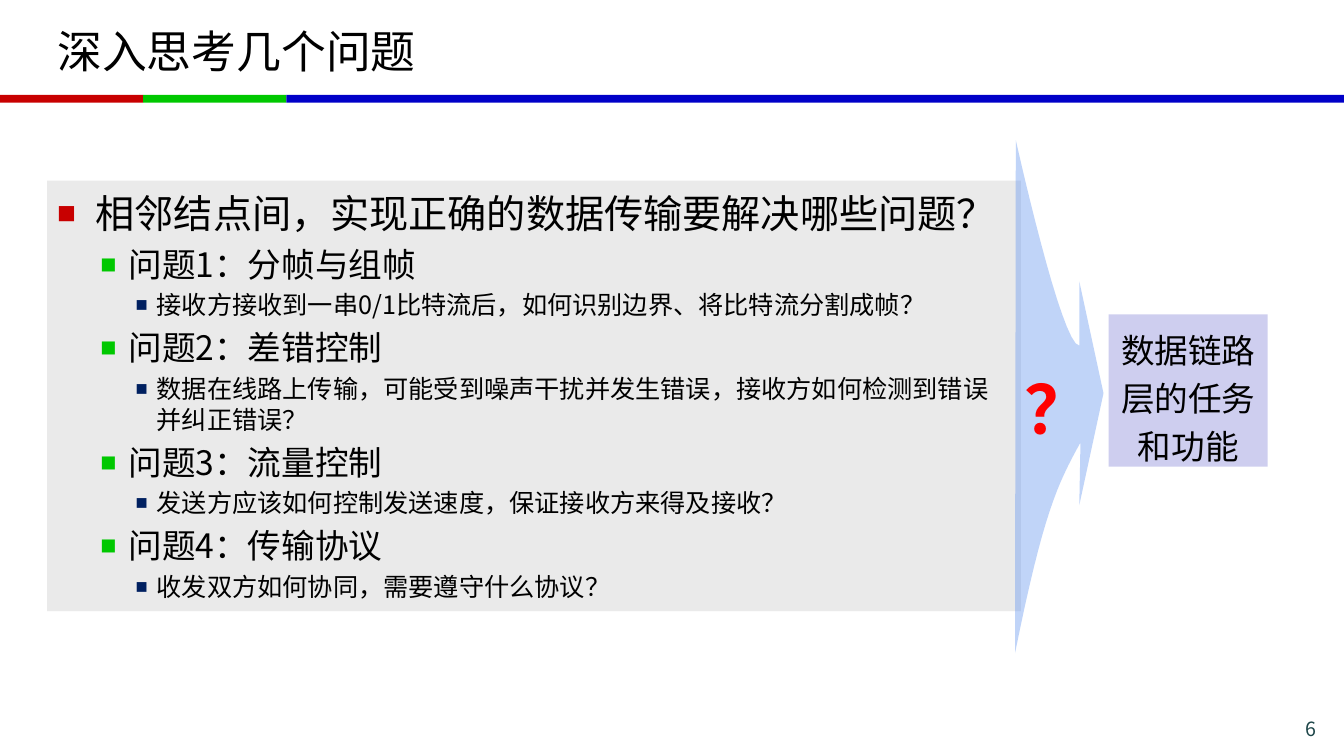
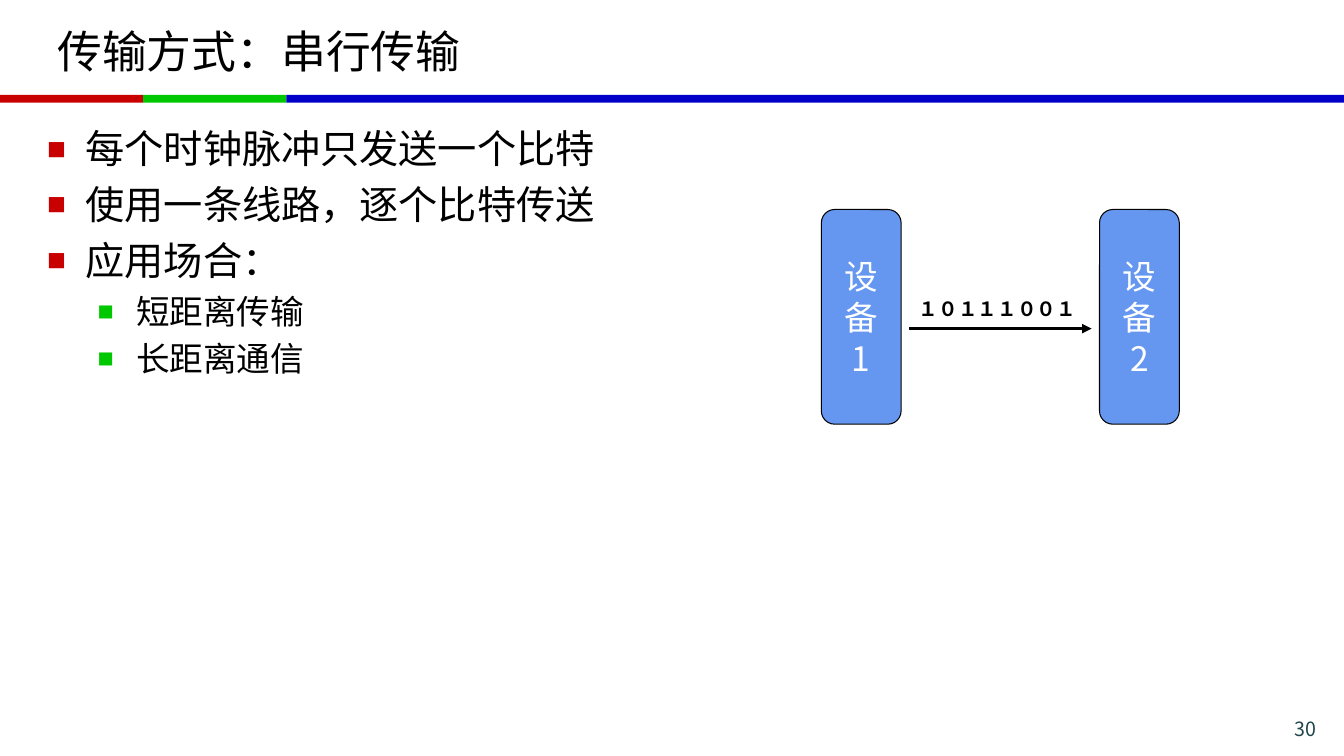
from collections import namedtuple

from lxml.etree import SubElement
from pptx import Presentation
from pptx.dml.color import RGBColor
from pptx.enum.shapes import MSO_CONNECTOR as Connector, MSO_SHAPE as Preset
from pptx.enum.text import MSO_ANCHOR as Anchor, PP_ALIGN as Align
from pptx.oxml.ns import qn
from pptx.util import Cm, Pt

COLORS = {
    "text": "000000", "white": "FFFFFF", "red": "C80000", "green": "00C800",
    "blue": "0000C8", "navy": "002060", "number": "1E4649", "panel": "E6E6E6",
    "device": "6697F0", "callout": "CECEEF", "question": "FF0000",
}
FONT, LATIN_FONT = "Noto Sans CJK SC", "Arial"
LINE_HEIGHT, LOOSE_LINE_HEIGHT = 1.22, 1.43
SLIDE_WIDTH, SLIDE_HEIGHT = 33.87, 19.05
BAND_TOP, BAND_HEIGHT, SHORT_BAND = 2.39, 0.2, 3.61

Level = namedtuple("Level", "size color margin hanging")
TOPIC = Level(28, "red", 0.97, 0.97)
PROBLEM = Level(24, "green", 1.8, 0.71)
DETAIL = Level(18, "navy", 2.51, 0.53)
USE_CASE = Level(24, "green", 2.24, 0.97)

QUESTIONS = [
    (TOPIC, "相邻结点间，实现正确的数据传输要解决哪些问题？"),
    (PROBLEM, "问题1：分帧与组帧"),
    (DETAIL, "接收方接收到一串0/1比特流后，如何识别边界、将比特流分割成帧？"),
    (PROBLEM, "问题2：差错控制"),
    (DETAIL, "数据在线路上传输，可能受到噪声干扰并发生错误，接收方如何检测到错误并纠正错误？"),
    (PROBLEM, "问题3：流量控制"),
    (DETAIL, "发送方应该如何控制发送速度，保证接收方来得及接收？"),
    (PROBLEM, "问题4：传输协议"),
    (DETAIL, "收发双方如何协同，需要遵守什么协议？"),
]
SERIAL_POINTS = [
    (TOPIC, "每个时钟脉冲只发送一个比特"),
    (TOPIC, "使用一条线路，逐个比特传送"),
    (TOPIC, "应用场合："),
    (USE_CASE, "短距离传输"),
    (USE_CASE, "长距离通信"),
]


def rgb(color):
    """Return the palette entry as a colour value."""
    return RGBColor.from_string(COLORS[color])


def place(*lengths):
    """Convert centimetres to lengths."""
    return [Cm(length) for length in lengths]


def style(paragraph, size, color="text", bold=False, align=Align.LEFT,
          font=FONT, line_height=LINE_HEIGHT):
    """Format a paragraph and its runs."""
    paragraph.alignment = align
    paragraph.line_spacing = Pt(round(size * line_height, 1))
    for run in paragraph.runs:
        run.font.size, run.font.bold, run.font.name = Pt(size), bold, font
        run.font.color.rgb = rgb(color)
        SubElement(run.font._element, qn("a:ea"), typeface=FONT)


def write(frame, text, size, wrap=True, anchor=Anchor.TOP, **look):
    """Fill a text frame with evenly styled paragraphs."""
    frame.text = text
    frame.word_wrap, frame.vertical_anchor = wrap, anchor
    for paragraph in frame.paragraphs:
        style(paragraph, size, **look)


def add_text(slide, box, text, size, **look):
    """Add a text box and return its frame."""
    frame = slide.shapes.add_textbox(*place(*box)).text_frame
    write(frame, text, size, **look)
    return frame


def paint(shape, color, opacity=None, outline=None):
    """Set fill, opacity and outline of a shape."""
    shape.shadow.inherit = False
    shape.fill.solid()
    shape.fill.fore_color.rgb = rgb(color)
    if opacity:
        fill = shape.element.spPr.find(".//" + qn("a:srgbClr"))
        SubElement(fill, qn("a:alpha"), val=str(opacity * 1000))
    if outline:
        shape.line.color.rgb = rgb("text")
        shape.line.width = Pt(outline)
    else:
        shape.line.fill.background()


def add_block(slide, box, color, preset=Preset.RECTANGLE, **look):
    """Add a painted preset shape."""
    block = slide.shapes.add_shape(preset, *place(*box))
    paint(block, color, **look)
    return block


def add_bullet(paragraph, level):
    """Give a paragraph a square bullet and a hanging indent."""
    properties = paragraph._p.get_or_add_pPr()
    properties.set("marL", str(Cm(level.margin)))
    properties.set("indent", str(-Cm(level.hanging)))
    color = SubElement(properties, qn("a:buClr"))
    SubElement(color, qn("a:srgbClr"), val=COLORS[level.color])
    SubElement(properties, qn("a:buSzPct"), val="80000")
    SubElement(properties, qn("a:buFont"), typeface=LATIN_FONT)
    SubElement(properties, qn("a:buChar"), char="■")


def write_outline(frame, items):
    """Write bulleted items of several levels."""
    frame.text = "\n".join(text for _, text in items)
    frame.word_wrap, frame.vertical_anchor = True, Anchor.TOP
    frame.margin_top = Cm(0.2)
    for index, (paragraph, (level, _)) in enumerate(zip(frame.paragraphs, items)):
        add_bullet(paragraph, level)
        paragraph.space_before = Pt(round(level.size * 0.2, 1) if index else 0)
        style(paragraph, level.size)


def bezier(start, first, second, end, steps=16):
    """Return points along a cubic curve, without its start."""
    def at(t):
        weights = ((1 - t) ** 3, 3 * t * (1 - t) ** 2, 3 * t * t * (1 - t), t ** 3)
        corners = (start, first, second, end)
        return tuple(sum(w * c[axis] for w, c in zip(weights, corners))
                     for axis in (0, 1))
    return [at(step / steps) for step in range(1, steps + 1)]


def add_flared_arrow(slide):
    """Draw the translucent arrow that narrows toward the callout."""
    bottom, lower_neck = (25.58, 16.46), (27.23, 11.15)
    top, upper_neck = (25.6, 3.53), (27.2, 8.71)
    outline = bezier(bottom, (26.29, 12.95), (26.64, 12.22), lower_neck)
    outline += [(27.2, 12.73), (27.81, 9.91), (27.2, 7.09), upper_neck]
    outline += bezier(upper_neck, (26.75, 8.71), top, top)
    builder = slide.shapes.build_freeform(*place(*bottom))
    builder.add_line_segments([place(*point) for point in outline], close=True)
    paint(builder.convert_to_shape(), "device", opacity=41)


def add_arrow(slide, left, right, y):
    """Draw a horizontal arrow."""
    arrow = slide.shapes.add_connector(Connector.STRAIGHT, *place(left, y, right, y))
    arrow.line.color.rgb = rgb("text")
    arrow.line.width = Pt(2.25)
    SubElement(arrow.line._get_or_add_ln(), qn("a:tailEnd"), type="triangle")
    SubElement(arrow._element.spPr, qn("a:effectLst"))


def add_device(slide, left, number):
    """Draw a device with its name stacked vertically."""
    device = add_block(slide, (left, 5.28, 2.01, 5.41), "device",
                       Preset.ROUNDED_RECTANGLE, outline=0.75)
    device.adjustments[0] = 0.167
    write(device.text_frame, f"设\n备\n{number}", 24, wrap=False,
          anchor=Anchor.MIDDLE, color="white", align=Align.CENTER)


def add_page(deck, title, number):
    """Add a slide with title, colour bands and page number."""
    slide = deck.slides.add_slide(deck.slide_layouts[5])
    heading = slide.shapes.title
    heading.left, heading.top, heading.width, heading.height = place(
        1.19, 0.2, 31.47, 2.13)
    write(heading.text_frame, title, 32, anchor=Anchor.MIDDLE)
    edges = [0, SHORT_BAND, 2 * SHORT_BAND, SLIDE_WIDTH]
    for color, left, right in zip(("red", "green", "blue"), edges, edges[1:]):
        add_block(slide, (left, BAND_TOP, right - left, BAND_HEIGHT), color)
    add_text(slide, (30.12, 17.93, 3.3, 0.71), str(number), 14,
             color="number", align=Align.RIGHT)
    return slide


def add_questions_slide(deck):
    """Build the slide of open questions."""
    slide = add_page(deck, "深入思考几个问题", 6)
    panel = add_block(slide, (1.19, 4.55, 24.54, 10.85), "panel", opacity=82)
    write_outline(panel.text_frame, QUESTIONS)
    add_flared_arrow(slide)
    add_text(slide, (25.58, 8.75, 2.24, 2.51), "？", 48, wrap=False, bold=True,
             color="question", font=LATIN_FONT, line_height=LOOSE_LINE_HEIGHT)
    callout = add_block(slide, (27.94, 7.92, 4.01, 3.84), "callout")
    callout.text_frame.margin_top = Cm(0.2)
    write(callout.text_frame, "数据链路层的任务和功能", 24, align=Align.CENTER,
          font=LATIN_FONT, line_height=LOOSE_LINE_HEIGHT)


def add_serial_slide(deck):
    """Build the slide on serial transmission."""
    slide = add_page(deck, "传输方式：串行传输", 30)
    points = slide.shapes.add_textbox(*place(0.94, 2.92, 15.77, 15.11))
    write_outline(points.text_frame, SERIAL_POINTS)
    add_arrow(slide, 22.91, 27.51, 8.28)
    bits = add_text(slide, (23.16, 7.47, 3.99, 0.61), "１０１１１００１", 14,
                    wrap=False, bold=True)
    bits.margin_left = bits.margin_right = bits.margin_top = bits.margin_bottom = 0
    for number, left in enumerate((20.7, 27.71), start=1):
        add_device(slide, left, number)


def main():
    """Build and save the deck."""
    deck = Presentation()
    deck.slide_width, deck.slide_height = place(SLIDE_WIDTH, SLIDE_HEIGHT)
    add_questions_slide(deck)
    add_serial_slide(deck)
    deck.save("out.pptx")


if __name__ == "__main__":
    main()
